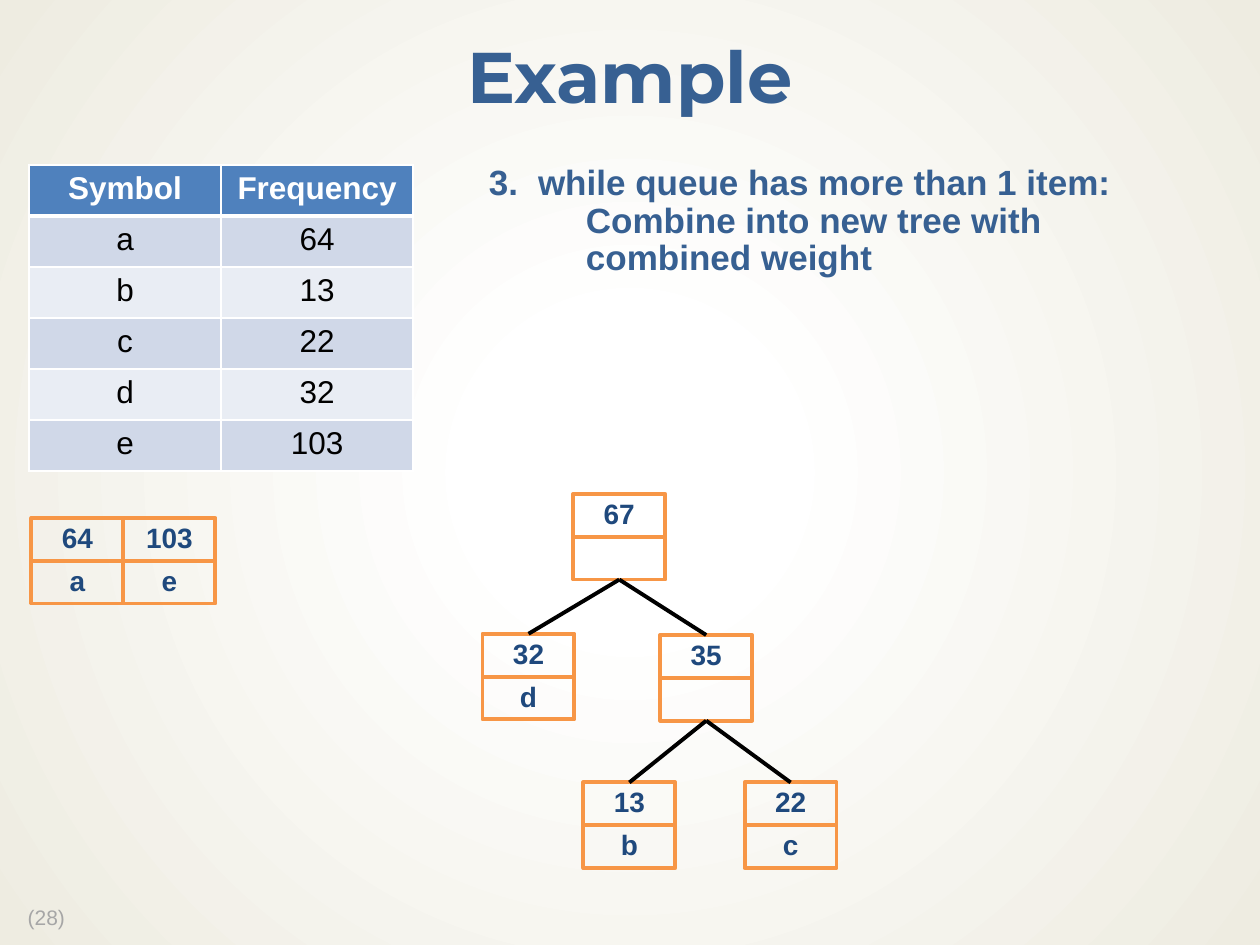
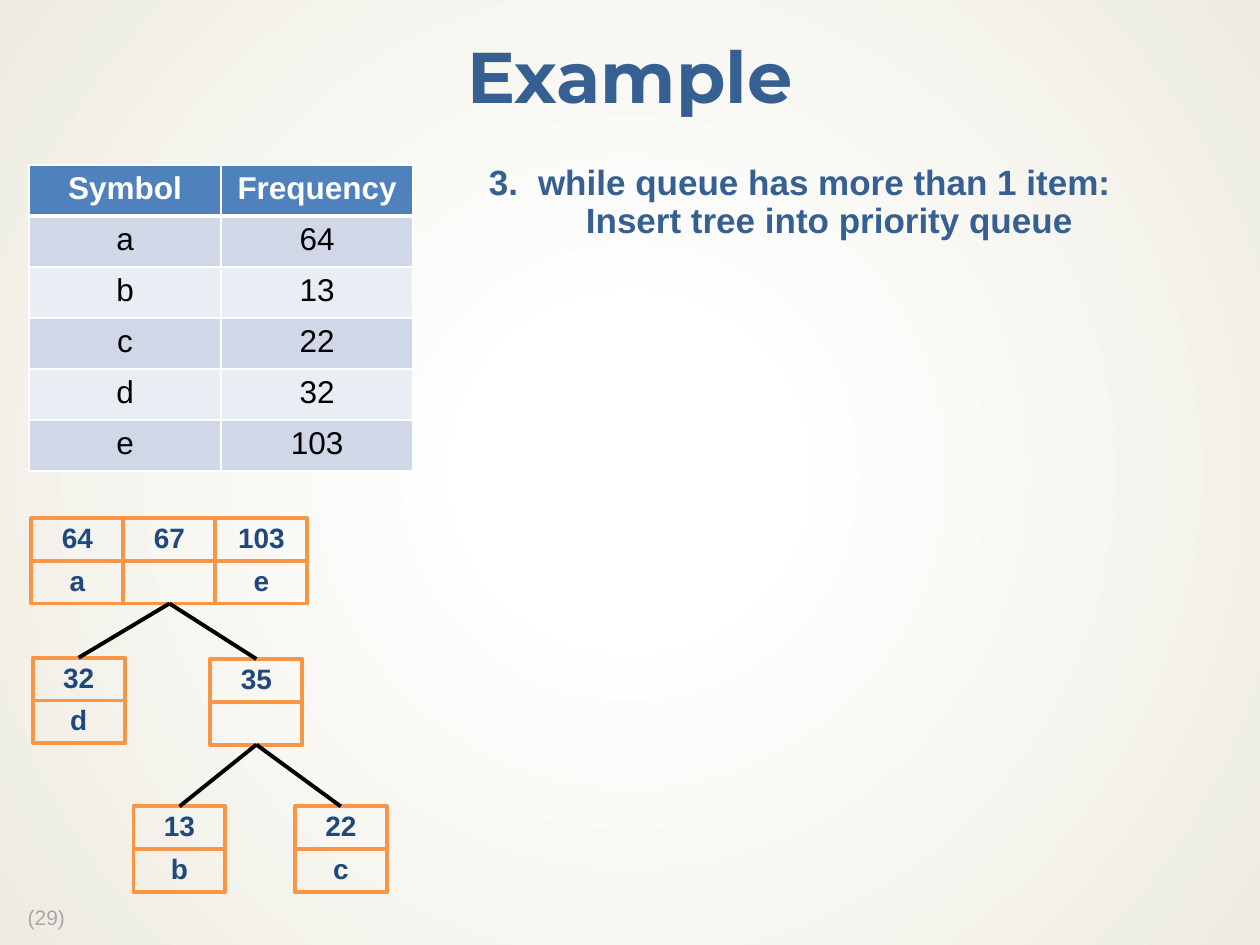
from lxml import etree
from pptx import Presentation
from pptx.dml.color import RGBColor
from pptx.enum import shapes, text
from pptx.oxml.ns import qn
from pptx.util import Inches, Pt

COLORS = {
    "heading": "376092",
    "node_text": "1F497D",
    "node_line": "F79646",
    "edge": "000000",
    "header": "4F81BD",
    "odd_row": "D0D8E8",
    "even_row": "E9EDF4",
    "white": "FFFFFF",
    "cell_text": "000000",
    "page_number": "A6A6A6",
    "backdrop": "EEECE1",
}
TITLE_FONT = {"name": "Montserrat", "size": Pt(41), "bold": True}
STEP_FONT = {"name": "Arial", "size": Pt(20), "bold": True}
NODE_FONT = {"name": "Arial", "size": Pt(16), "bold": True}
HEADER_FONT = {"name": "Arial", "size": Pt(18), "bold": True}
CELL_FONT = {"name": "Arial", "size": Pt(18), "bold": False}
NUMBER_FONT = {"name": "Arial", "size": Pt(12), "bold": False}
STEP_FRAME = {
    "margin_left": Inches(0.12), "margin_right": Inches(0.12),
    "margin_top": Inches(0.06), "margin_bottom": Inches(0.06),
    "word_wrap": True, "auto_size": text.MSO_AUTO_SIZE.NONE,
    "vertical_anchor": text.MSO_ANCHOR.TOP,
}
TITLE_FRAME = {**STEP_FRAME, "vertical_anchor": text.MSO_ANCHOR.MIDDLE}
NODE_FRAME = {
    "margin_left": 0, "margin_right": 0, "margin_top": 0, "margin_bottom": 0,
    "word_wrap": True, "vertical_anchor": text.MSO_ANCHOR.MIDDLE,
}
CENTERED = {"alignment": text.PP_ALIGN.CENTER, "line_spacing": 0.9, "space_before": Pt(0)}
LEFT = {**CENTERED, "alignment": text.PP_ALIGN.LEFT}

FREQUENCIES = [("Symbol", "Frequency"), ("a", "64"), ("b", "13"),
               ("c", "22"), ("d", "32"), ("e", "103")]
NODE_WIDTH, NODE_HEIGHT = 0.73, 0.34
TREE_NODES = {
    "67": ("", 0, 0, None),
    "32": ("d", -0.72, 1.11, "67"),
    "35": ("", 0.69, 1.12, "67"),
    "13": ("b", 0.08, 2.29, "35"),
    "22": ("c", 1.36, 2.29, "35"),
}


def rgb(name):
    return RGBColor.from_string(COLORS[name])


def apply_format(target, values):
    for name, value in values.items():
        setattr(target, name, value)


def write(paragraph, content, font, color, layout):
    paragraph.text = content
    apply_format(paragraph, layout)
    apply_format(paragraph.font, font)
    paragraph.font.color.rgb = rgb(color)


def place(shape, box):
    apply_format(shape, dict(zip(("left", "top", "width", "height"), map(Inches, box))))


def set_backdrop(master):
    fill = master.background.fill
    fill.gradient()
    for stop, color, position in zip(fill.gradient_stops, ("white", "backdrop"), (0.18, 1)):
        stop.color.rgb = rgb(color)
        stop.position = position
    gradient = master.element.find(".//" + qn("a:gradFill"))
    etree.SubElement(gradient.find(".//" + qn("a:srgbClr")), qn("a:alpha"), val="53000")
    radial = etree.Element(qn("a:path"), path="circle")
    etree.SubElement(radial, qn("a:fillToRect"), l="50000", t="50000", r="50000", b="50000")
    gradient.replace(gradient.find(qn("a:lin")), radial)


def add_title(slide, box, content):
    title = slide.shapes.title
    place(title, box)
    apply_format(title.text_frame, TITLE_FRAME)
    write(title.text_frame.paragraphs[0], content, TITLE_FONT, "heading", CENTERED)


def add_step(slide, box, number, condition, action):
    body = slide.placeholders[1]
    place(body, box)
    frame = body.text_frame
    apply_format(frame, STEP_FRAME)
    lines = ((condition, 0.39, -0.39), (action, 0.77, 0))
    for index, (content, margin, indent) in enumerate(lines):
        paragraph = frame.add_paragraph() if index else frame.paragraphs[0]
        write(paragraph, content, STEP_FONT, "heading", LEFT)
        properties = paragraph._p.get_or_add_pPr()
        properties.set("marL", str(Inches(margin)))
        properties.set("indent", str(Inches(indent)))
        if index:
            bullet = etree.Element(qn("a:buNone"))
        else:
            bullet = etree.Element(qn("a:buAutoNum"), type="arabicPeriod", startAt=str(number))
        properties.find(qn("a:defRPr")).addprevious(bullet)


def add_page_number(slide, box, number):
    label = slide.shapes.add_textbox(*map(Inches, box))
    apply_format(label.text_frame, {"margin_left": Inches(0.15), "word_wrap": False})
    write(label.text_frame.paragraphs[0], f"({number})", NUMBER_FONT, "page_number", LEFT)


def set_borders(cell, bottom_width):
    properties = cell._tc.get_or_add_tcPr()
    for index, side in enumerate(("lnL", "lnR", "lnT", "lnB")):
        width = bottom_width if side == "lnB" else 1
        border = etree.Element(qn("a:" + side), w=str(Pt(width)))
        fill = etree.SubElement(border, qn("a:solidFill"))
        etree.SubElement(fill, qn("a:srgbClr"), val=COLORS["white"])
        properties.insert(index, border)


def add_frequency_table(slide, box):
    frame = slide.shapes.add_table(len(FREQUENCIES), 2, *map(Inches, box))
    for row, values in enumerate(FREQUENCIES):
        for column, value in enumerate(values):
            cell = frame.table.cell(row, column)
            cell.fill.solid()
            fill = "header" if row == 0 else ("even_row", "odd_row")[row % 2]
            cell.fill.fore_color.rgb = rgb(fill)
            font, color = (CELL_FONT, "cell_text") if row else (HEADER_FONT, "white")
            write(cell.text_frame.paragraphs[0], value, font, color,
                  {"alignment": text.PP_ALIGN.CENTER})
            set_borders(cell, 1 if row else 3)


def add_node(slide, left, top, weight, symbol):
    cells = []
    for index, content in enumerate((weight, symbol)):
        box = (left, top + index * NODE_HEIGHT, NODE_WIDTH, NODE_HEIGHT)
        cell = slide.shapes.add_shape(shapes.MSO_SHAPE.RECTANGLE, *map(Inches, box))
        cell.shadow.inherit = False
        cell.fill.background()
        cell.line.color.rgb = rgb("node_line")
        cell.line.width = Pt(2.25)
        apply_format(cell.text_frame, NODE_FRAME)
        if content:
            write(cell.text_frame.paragraphs[0], content, NODE_FONT, "node_text", CENTERED)
        cells.append(cell)
    return cells


def add_edge(slide, parent, child):
    edge = slide.shapes.add_connector(shapes.MSO_CONNECTOR.STRAIGHT, 0, 0, 0, 0)
    edge.begin_connect(parent, 2)
    edge.end_connect(child, 0)
    edge.line.color.rgb = rgb("edge")
    edge.line.width = Pt(2.25)
    etree.SubElement(edge._element.spPr, qn("a:effectLst"))


def add_tree(slide, left, top):
    nodes = {}
    for weight, (symbol, across, down, parent) in TREE_NODES.items():
        nodes[weight] = add_node(slide, left + across, top + down, weight, symbol)
        if parent:
            add_edge(slide, nodes[parent][1], nodes[weight][0])


def add_queue(slide, left, top, entries):
    for index, (weight, symbol) in enumerate(entries):
        x = left + index * NODE_WIDTH
        if weight in TREE_NODES:
            add_tree(slide, x, top)
        else:
            add_node(slide, x, top, weight, symbol)


def add_example_slide(presentation, number, action, queue):
    slide = presentation.slides.add_slide(presentation.slide_layouts[1])
    add_title(slide, (0, 0.17, 10, 0.94), "Example")
    add_frequency_table(slide, (0.23, 1.31, 3.05, 2.43))
    add_step(slide, (3.76, 1.25, 5.86, 1.66), 3, "while queue has more than 1 item:", action)
    add_queue(slide, 0.25, 4.11, queue)
    add_page_number(slide, (0.07, 7.15, 0.56, 0.28), number)
    return slide


def main():
    presentation = Presentation()
    presentation.slide_width, presentation.slide_height = Inches(10), Inches(7.5)
    set_backdrop(presentation.slide_master)
    combine = add_example_slide(presentation, 28, "Combine into new tree with\vcombined weight",
                                [("64", "a"), ("103", "e")])
    add_tree(combine, 4.55, 3.92)
    add_example_slide(presentation, 29, "Insert tree into priority queue",
                      [("64", "a"), ("67", ""), ("103", "e")])
    presentation.save("out.pptx")


if __name__ == "__main__":
    main()
